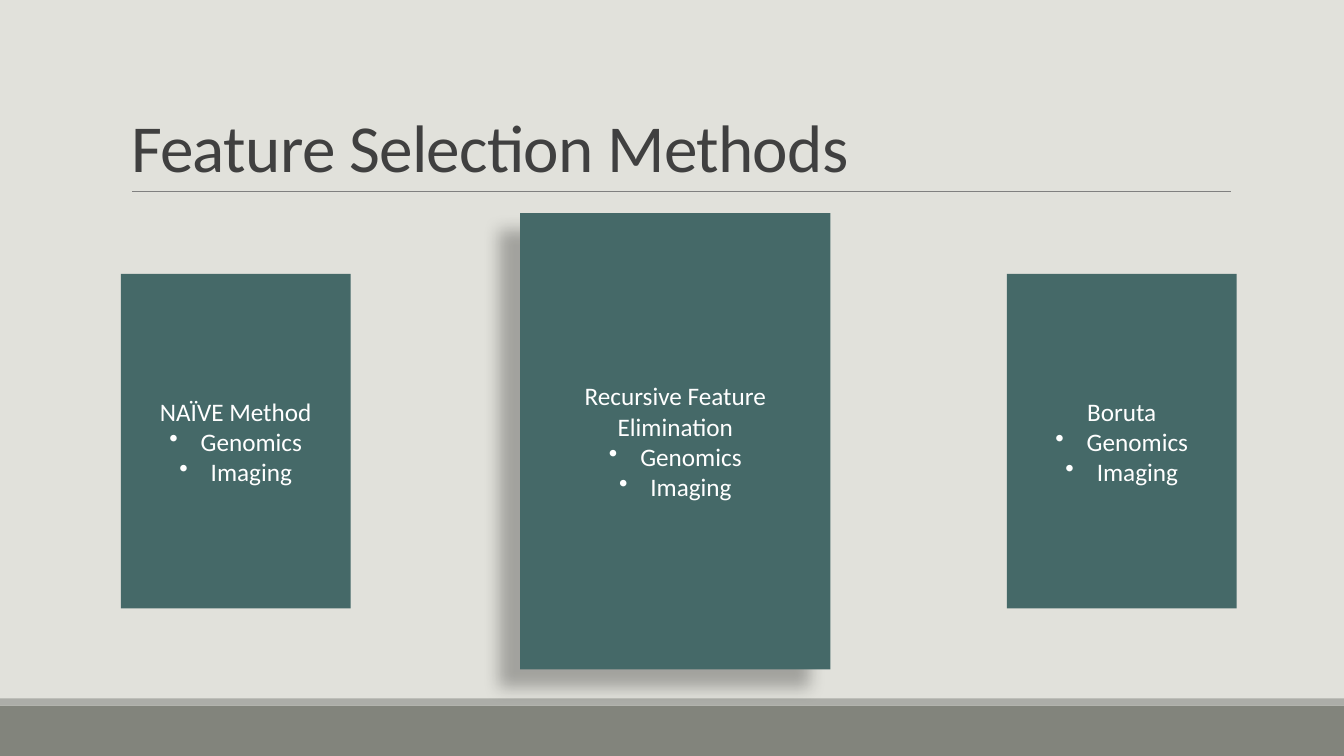
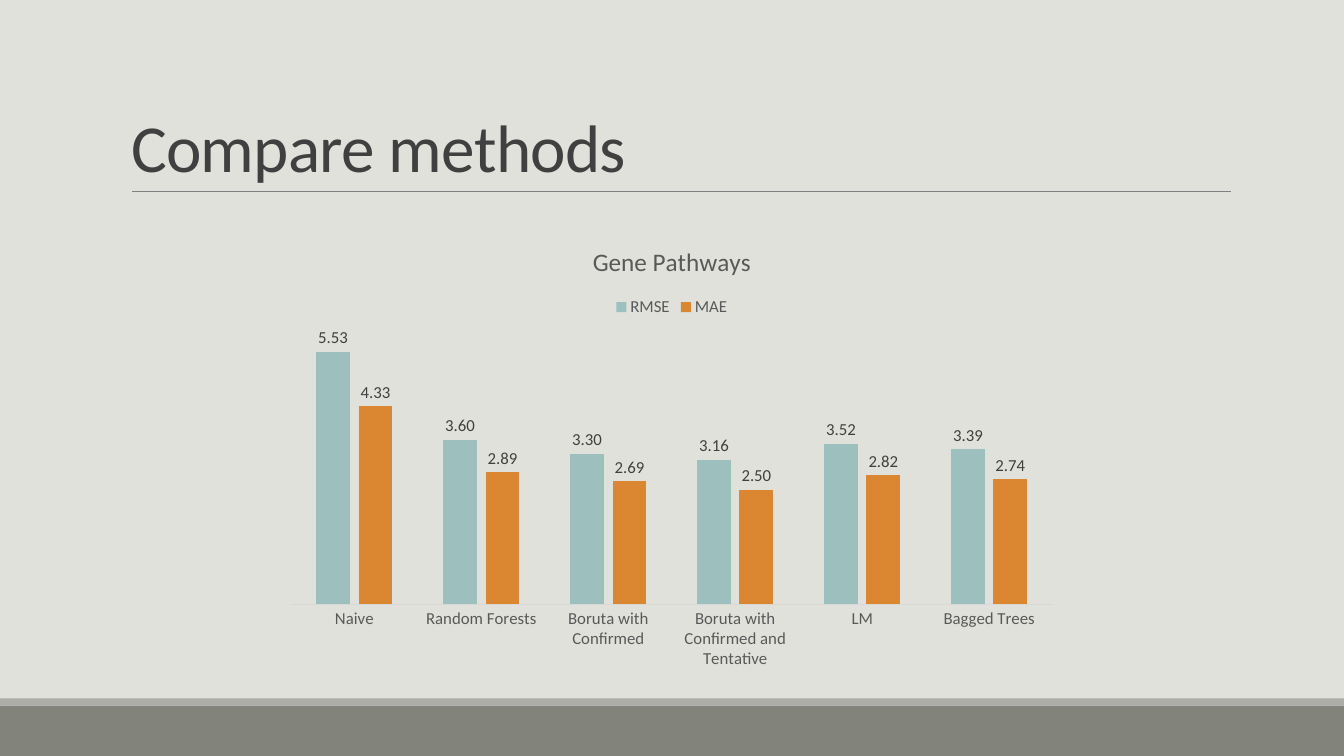
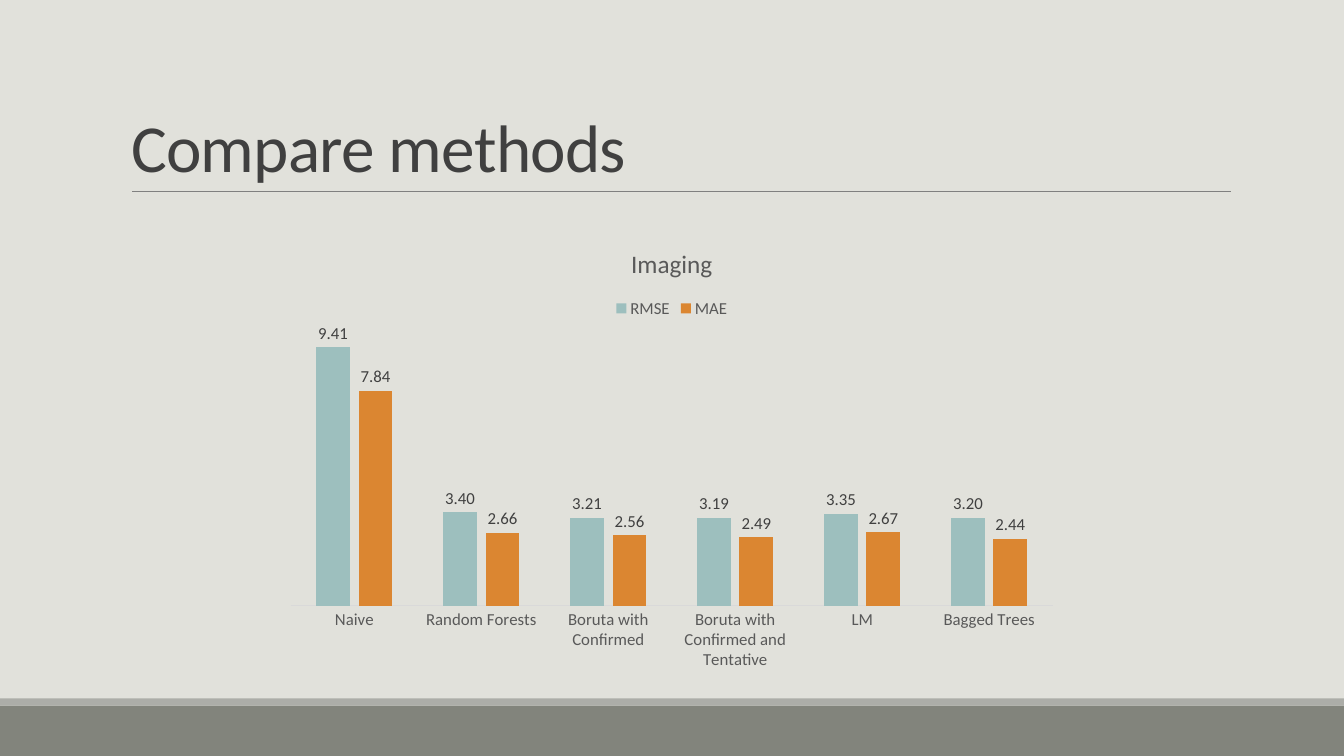
import dataclasses

import lxml.etree
import pptx
import pptx.chart.data
import pptx.dml.color
import pptx.enum.chart
import pptx.enum.shapes
import pptx.enum.text
import pptx.oxml
import pptx.oxml.ns
import pptx.util

Cm = pptx.util.Cm
Pt = pptx.util.Pt
qn = pptx.oxml.ns.qn


def rgb(value):
    return pptx.dml.color.RGBColor.from_string(value)


@dataclasses.dataclass(frozen=True)
class Theme:
    font: str = "Calibri"
    background: str = "E1E1DB"
    footer: str = "82847C"
    footer_edge: str = "ACADA8"
    rule: str = "808080"
    title: str = "404040"
    card: str = "456968"
    card_text: str = "FFFFFF"
    chart_text: str = "595959"
    label_text: str = "404040"
    axis_line: str = "D9D9D9"
    series: tuple = ("9DBFBE", "DB8631")
    title_size: int = 48
    card_size: int = 18
    chart_title_size: int = 18
    chart_size: int = 12


class Deck:
    """Builds slides in one shared style."""

    def __init__(self, theme):
        self.theme = theme
        self.presentation = pptx.Presentation()
        self.presentation.slide_width = Cm(33.87)
        self.presentation.slide_height = Cm(19.05)
        fill = self.presentation.slide_master.background.fill
        fill.solid()
        fill.fore_color.rgb = rgb(theme.background)
        self.slide = None

    def style_font(self, font, size, color):
        font.name = self.theme.font
        font.size = Pt(size)
        font.bold = False
        font.color.rgb = rgb(color)

    def add_slide(self, title):
        self.slide = self.presentation.slides.add_slide(self.presentation.slide_layouts[5])
        self.rectangle(0, 17.78, 33.87, 1.27, self.theme.footer)
        self.rectangle(0, 17.6, 33.87, 0.18, self.theme.footer_edge)
        self.rule(3.33, 31.01, 4.83)
        self.title(title)

    def title(self, text):
        shape = self.slide.shapes.title
        shape.left, shape.top, shape.width, shape.height = Cm(3.05), Cm(0.79), Cm(27.94), Cm(4.04)
        frame = shape.text_frame
        frame.text = text
        frame.auto_size = pptx.enum.text.MSO_AUTO_SIZE.NONE
        frame.vertical_anchor = pptx.enum.text.MSO_ANCHOR.BOTTOM
        paragraph = frame.paragraphs[0]
        paragraph.alignment = pptx.enum.text.PP_ALIGN.LEFT
        paragraph.line_spacing = 0.85
        self.style_font(paragraph.font, self.theme.title_size, self.theme.title)
        paragraph.runs[0].font._element.set("spc", "-50")

    def rectangle(self, left, top, width, height, color):
        shape = self.slide.shapes.add_shape(
            pptx.enum.shapes.MSO_SHAPE.RECTANGLE, Cm(left), Cm(top), Cm(width), Cm(height))
        shape.shadow.inherit = False
        shape.fill.solid()
        shape.fill.fore_color.rgb = rgb(color)
        shape.line.fill.background()
        return shape

    def rule(self, left, right, top):
        line = self.slide.shapes.add_connector(
            pptx.enum.shapes.MSO_CONNECTOR.STRAIGHT, Cm(left), Cm(top), Cm(right), Cm(top))
        line.line.color.rgb = rgb(self.theme.rule)
        line.line.width = Pt(0.5)
        lxml.etree.SubElement(line._element.spPr, qn("a:effectLst"))

    def card(self, center, width, height, heading, items, raised=False):
        middle = 11.12
        shape = self.rectangle(
            center - width / 2, middle - height / 2, width, height, self.theme.card)
        if raised:
            self.cast_shadow(shape)
        frame = shape.text_frame
        frame.word_wrap = True
        frame.vertical_anchor = pptx.enum.text.MSO_ANCHOR.MIDDLE
        frame.text = "\n".join([heading, *items])
        for paragraph in frame.paragraphs:
            paragraph.alignment = pptx.enum.text.PP_ALIGN.CENTER
            self.style_font(paragraph.font, self.theme.card_size, self.theme.card_text)
        for paragraph in frame.paragraphs[1:]:
            self.bullet(paragraph)

    def bullet(self, paragraph):
        properties = paragraph._p.get_or_add_pPr()
        properties.set("marL", str(Cm(0.79)))
        properties.set("indent", str(-Cm(0.79)))
        mark = pptx.oxml.parse_xml(
            f'<a:buChar {pptx.oxml.ns.nsdecls("a")} char="•"/>')
        properties.find(qn("a:defRPr")).addprevious(mark)

    def cast_shadow(self, shape):
        effects = shape._element.spPr.find(qn("a:effectLst"))
        effects.append(pptx.oxml.parse_xml(
            f'<a:outerShdw {pptx.oxml.ns.nsdecls("a")} blurRad="{Pt(11.8)}" '
            f'dist="{Pt(19.7)}" dir="{141 * 60000}" algn="tr" rotWithShape="0">'
            '<a:srgbClr val="000000"><a:alpha val="28000"/></a:srgbClr></a:outerShdw>'))

    def column_chart(self, title, top, categories, series):
        theme = self.theme
        data = pptx.chart.data.CategoryChartData(number_format="#,##0.00")
        data.categories = categories
        for name, values in series.items():
            data.add_series(name, values)
        chart = self.slide.shapes.add_chart(
            pptx.enum.chart.XL_CHART_TYPE.COLUMN_CLUSTERED,
            Cm(6.93), Cm(top), Cm(20), Cm(11.38), data).chart
        self.style_font(chart.font, theme.chart_size, theme.chart_text)

        chart.has_title = True
        chart.chart_title.include_in_layout = False
        chart.chart_title.text_frame.text = title
        self.style_font(chart.chart_title.text_frame.paragraphs[0].font,
                        theme.chart_title_size, theme.chart_text)
        chart.has_legend = True
        chart.legend.position = pptx.enum.chart.XL_LEGEND_POSITION.TOP
        chart.legend.include_in_layout = False
        self.style_font(chart.legend.font, theme.chart_size, theme.chart_text)

        chart.value_axis.visible = False
        chart.value_axis.has_major_gridlines = False
        chart.value_axis.minimum_scale = 0
        axis = chart.category_axis
        axis.major_tick_mark = pptx.enum.chart.XL_TICK_MARK.NONE
        axis.format.line.color.rgb = rgb(theme.axis_line)
        axis.format.line.width = Pt(0.75)
        self.style_font(axis.tick_labels.font, theme.chart_size, theme.chart_text)

        plot = chart.plots[0]
        plot.gap_width = 150
        plot.overlap = -25
        plot.vary_by_categories = False
        for columns, color in zip(plot.series, theme.series):
            columns.format.fill.solid()
            columns.format.fill.fore_color.rgb = rgb(color)
            labels = columns.data_labels
            labels.show_value = True
            labels.number_format = "#,##0.00"
            labels.number_format_is_linked = False
            labels.position = pptx.enum.chart.XL_LABEL_POSITION.OUTSIDE_END
            self.style_font(labels.font, theme.chart_size, theme.label_text)


deck = Deck(Theme())

deck.add_slide("Feature Selection Methods")
data_types = ["Genomics", "Imaging"]
deck.card(5.94, 5.79, 8.43, "NAÏVE Method", data_types)
deck.card(17.02, 7.82, 11.5, "Recursive Feature Elimination", data_types, raised=True)
deck.card(28.27, 5.79, 8.43, "Boruta", data_types)

models = ["Naive", "Random Forests", "Boruta with Confirmed",
          "Boruta with Confirmed and Tentative", "LM", "Bagged Trees"]
comparisons = [
    ("Gene Pathways", 5.69, {"RMSE": [5.53, 3.6, 3.3, 3.16, 3.52, 3.39],
                             "MAE": [4.33, 2.89, 2.69, 2.5, 2.82, 2.74]}),
    ("Imaging", 5.72, {"RMSE": [9.41, 3.4, 3.21, 3.19, 3.35, 3.2],
                       "MAE": [7.84, 2.66, 2.56, 2.49, 2.67, 2.44]}),
]
for chart_title, chart_top, errors in comparisons:
    deck.add_slide("Compare methods")
    deck.column_chart(chart_title, chart_top, models, errors)

deck.presentation.save("out.pptx")
